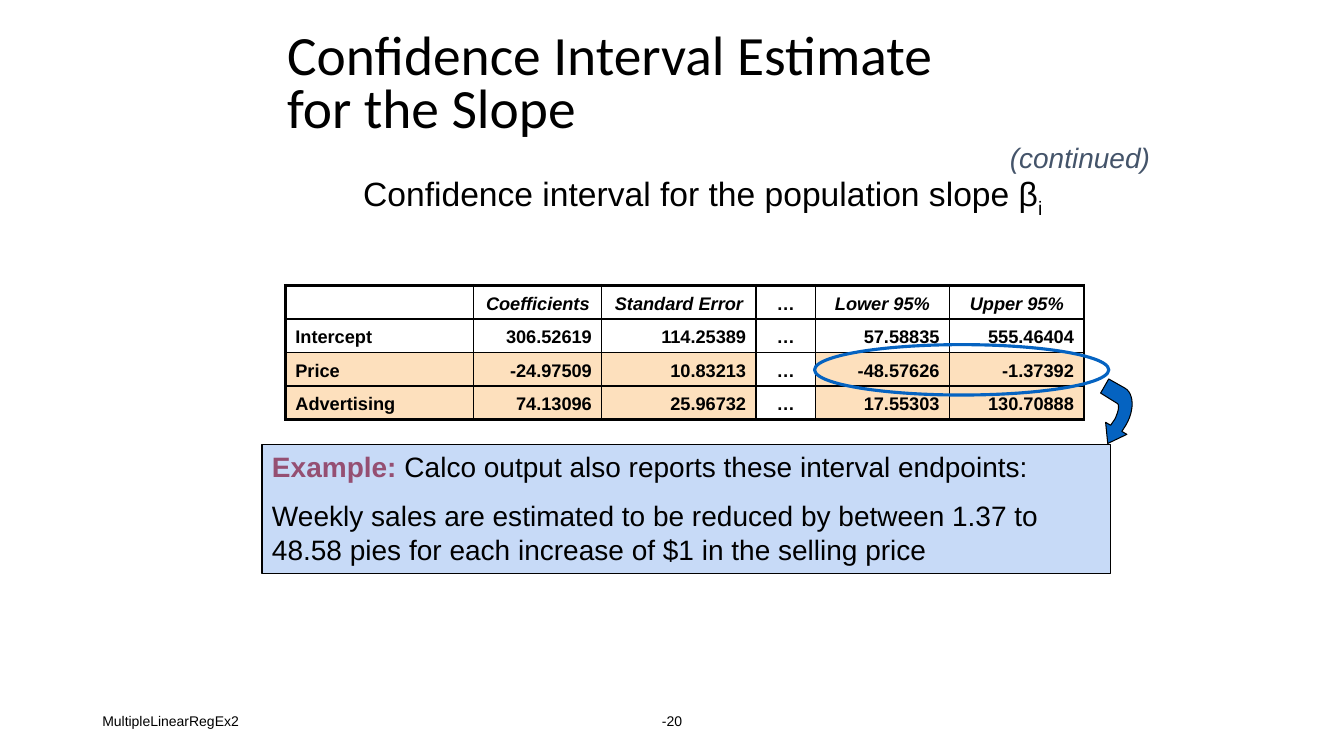
from pptx import Presentation
from pptx.util import Pt
from pptx.dml.color import RGBColor as RGB
from pptx.enum.shapes import MSO_SHAPE as Shape
from pptx.enum.text import PP_ALIGN as Align, MSO_ANCHOR as Anchor
from pptx.oxml import parse_xml

color = {"black": "000000", "slate": "44546A", "plum": "954F72",
         "blue": "0563C1", "pale": "C7DAF7", "peach": "FDE0BD"}
ns = "http://schemas.openxmlformats.org/drawingml/2006/main"


def write(frame, *paras, size=13, font="Arial", tint="black", bold=False, italic=False,
          align=Align.LEFT, anchor=Anchor.TOP, gap=0, lead=None):
    frame.vertical_anchor = anchor
    for i, runs in enumerate(paras):
        para = frame.add_paragraph() if i else frame.paragraphs[0]
        para.alignment, para.line_spacing = align, lead
        para.space_before = Pt(gap if i else 0)
        for j, (words, look) in enumerate(runs):
            if j and look.get("newline"):
                para.add_line_break()
            run = para.add_run()
            run.text = words
            run.font.name, run.font.size = font, Pt(size)
            run.font.bold, run.font.italic = look.get("bold", bold), italic
            run.font.color.rgb = RGB.from_string(color[look.get("tint", tint)])
            if "base" in look:
                run.font._element.set("baseline", str(look["base"]))


def edge(cell, sides):
    props = cell._tc.get_or_add_tcPr()
    for i, (side, width) in enumerate(sides):
        props.insert(i, parse_xml(
            f'<a:ln{side} xmlns:a="{ns}" w="{Pt(width)}"><a:solidFill>'
            f'<a:srgbClr val="{color["black"]}"/></a:solidFill></a:ln{side}>'))


deck = Presentation()
deck.slide_width, deck.slide_height = Pt(960), Pt(540)
slide = deck.slides.add_slide(deck.slide_layouts[6])
shapes = slide.shapes

labels = [
    ((66, 500.4, 216, 28.8), [("MultipleLinearRegEx2", {})],
     dict(size=10, anchor=Anchor.MIDDLE)),
    ((318, 500.4, 324, 28.8), [("-20", {})],
     dict(size=10, anchor=Anchor.MIDDLE, align=Align.CENTER)),
    ((198, 19.4, 613.4, 84.2),
     [("Confidence Interval Estimate ", {}), ("for the Slope", {"newline": True})],
     dict(size=39.6, font="Calibri", anchor=Anchor.MIDDLE, lead=0.8)),
    ((216, 120.2, 576, 36),
     [("Confidence interval for the population slope β", {}), ("i ", {"base": -25000})],
     dict(size=24, align=Align.CENTER)),
    ((714.2, 96.5, 114.5, 31), [("(continued)", {})],
     dict(size=20, tint="slate", italic=True)),
]
for place, runs, style in labels:
    box = shapes.add_textbox(*map(Pt, place))
    box.text_frame.word_wrap = True
    write(box.text_frame, runs, **style)

note = shapes.add_shape(Shape.RECTANGLE, Pt(187.2), Pt(317.5), Pt(606.2), Pt(92.2))
note.shadow.inherit = False
note.fill.solid()
note.fill.fore_color.rgb = RGB.from_string(color["pale"])
note.line.color.rgb = RGB.from_string(color["black"])
note.line.width = Pt(1)
note.text_frame.word_wrap = True
write(note.text_frame,
      [("Example:", {"bold": True, "tint": "plum"}),
       (" Calco output also reports these interval endpoints:", {})],
      [("Weekly sales are estimated to be reduced by between 1.37 to 48.58 pies "
        "for each increase of $1 in the selling price", {})],
      size=20, gap=11)

data = [
    ["", "Coefficients", "Standard Error", "…", "Lower 95%", "Upper 95%"],
    ["Intercept", "306.52619", "114.25389", "…", "57.58835", "555.46404"],
    ["Price", "-24.97509", "10.83213", "…", "-48.57626", "-1.37392"],
    ["Advertising", "74.13096", "25.96732", "…", "17.55303", "130.70888"],
]
widths = [134.6, 91.5, 110.2, 42.2, 96, 96]
rules = [2.25, 1.5, 1, 1, 2.25]
table = shapes.add_table(4, 6, Pt(203.8), Pt(203.8), Pt(570.5), Pt(96)).table
table.first_row = table.horz_banding = False
for col, width in zip(table.columns, widths):
    col.width = Pt(width)
for r, row in enumerate(data):
    table.rows[r].height = Pt(24)
    for c, words in enumerate(row):
        cell = table.cell(r, c)
        if r > 1 and words != "…":
            cell.fill.solid()
            cell.fill.fore_color.rgb = RGB.from_string(color["peach"])
        else:
            cell.fill.background()
        edge(cell, [("L", 1 if c else 2.25), ("R", 2.25 if c == 5 else 1),
                    ("T", rules[r]), ("B", rules[r + 1])])
        cell.vertical_anchor = Anchor.BOTTOM
        if words:
            side = (Align.CENTER if r == 0 or words == "…"
                    else Align.RIGHT if c else Align.LEFT)
            write(cell.text_frame, [(words, {})], bold=True,
                  italic=r == 0 and words != "…", align=side, anchor=Anchor.BOTTOM)
        else:
            end = parse_xml(f'<a:endParaRPr xmlns:a="{ns}" sz="1300"/>')
            cell.text_frame.paragraphs[0]._p.append(end)

ring = shapes.add_shape(Shape.OVAL, Pt(581.8), Pt(246.2), Pt(210.2), Pt(36))
ring.shadow.inherit = False
ring.fill.background()
ring.line.color.rgb = RGB.from_string(color["blue"])
ring.line.width = Pt(2.25)

outer = [(804.2, 303.8), (810.7, 293), (810, 280.8), (803.5, 277.2)]
inner = [(797.8, 288), (799.9, 288.7), (799.2, 293.8), (796.3, 299.5)]
bends = []
for bend in (outer, inner):
    steps = []
    for k in range(13):
        t = k / 12
        parts = [(1 - t) ** 3, 3 * t * (1 - t) ** 2, 3 * t * t * (1 - t), t ** 3]
        steps.append(tuple(sum(p * q[a] for p, q in zip(parts, bend)) for a in (0, 1)))
    bends.append(steps)
points = [(791.3, 316.8), (805, 310.3), (801.4, 308.2), *bends[0],
          (792, 270.7), (786.2, 280.8), *bends[1], (793.4, 303.8), (789.8, 301.7)]
path = [(x * 100, y * 100) for x, y in points]
pen = shapes.build_freeform(*path[0], scale=Pt(1) / 100)
pen.add_line_segments(path[1:], close=True)
arrow = pen.convert_to_shape()
arrow.shadow.inherit = False
arrow.fill.solid()
arrow.fill.fore_color.rgb = RGB.from_string(color["blue"])
arrow.line.color.rgb = RGB.from_string(color["black"])
arrow.line.width = Pt(0.75)

deck.save("out.pptx")
